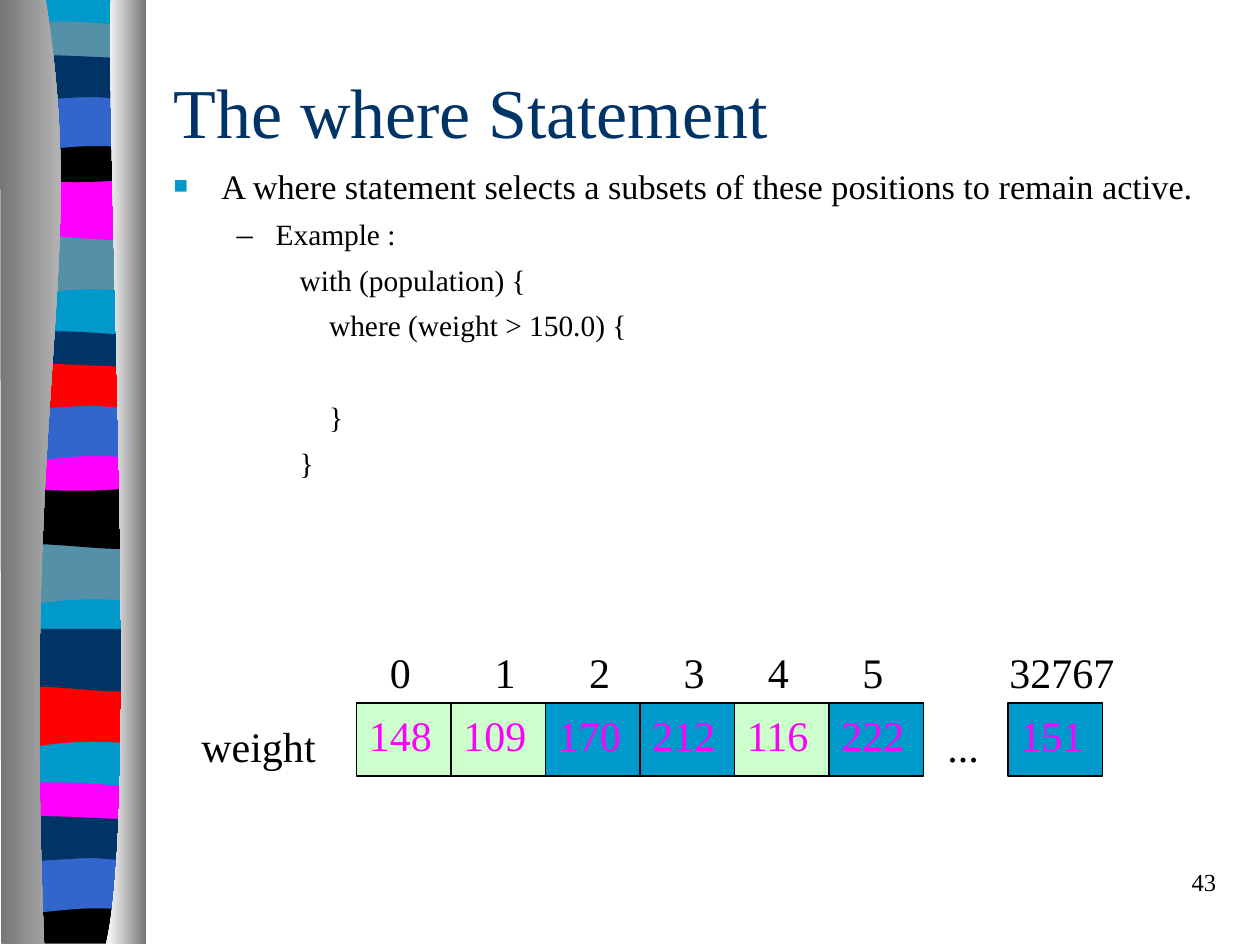
from lxml import etree
from pptx import Presentation
from pptx.dml.color import RGBColor
from pptx.enum.shapes import MSO_SHAPE
from pptx.enum.text import MSO_ANCHOR, PP_ALIGN
from pptx.oxml.ns import qn
from pptx.util import Inches, Pt

RECTANGLE = MSO_SHAPE.RECTANGLE
TOP, MIDDLE = MSO_ANCHOR.TOP, MSO_ANCHOR.MIDDLE
LEFT, RIGHT = PP_ALIGN.LEFT, PP_ALIGN.RIGHT

FONT = "Times New Roman"
BLACK = RGBColor(0x00, 0x00, 0x00)
WHITE = RGBColor(0xFF, 0xFF, 0xFF)
GRAY = RGBColor(0x76, 0x76, 0x76)
LIGHT_GRAY = RGBColor(0xD2, 0xD2, 0xD2)
NAVY = RGBColor(0x00, 0x33, 0x66)
CYAN = RGBColor(0x00, 0x99, 0xCC)
BLUE = RGBColor(0x33, 0x66, 0xCC)
TEAL = RGBColor(0x54, 0x90, 0xA8)
RED = RGBColor(0xFF, 0x00, 0x00)
MAGENTA = RGBColor(0xFF, 0x00, 0xFF)
LIGHT_GREEN = RGBColor(0xCC, 0xFF, 0xCC)

RIBBON = [(1.14, -0.01), (1.14, 7.47), (0.06, 7.47), (0.06, -0.01)]
BAND_OUTLINES = {
    "wave": [(1.14, 0), (1.14, 0.47), (0.39, 0.39, 0.24, 0.55, 0.06, 0.47), (0.06, 0)],
    "sway": [(1.14, 0), (1.14, 0.47), (0.96, 0.55, 0.39, 0.42, 0.06, 0.47), (0.06, 0)],
    "slope": [(1.14, 0.05), (1.14, 0.29), (0.96, 0.33, 0.24, 0.33, 0.06, 0.29),
              (0.06, 0.05), (0.12, 0, 0.29, 0.01, 0.47, 0.01),
              (0.65, 0.01, 1, 0.04, 1.14, 0.05)],
    "bowl": [(1.14, 0), (1.14, 0.32), (0.96, 0.38, 0.24, 0.38, 0.06, 0.32),
             (0.06, 0), (0.72, 0.05, 0.91, 0, 1.14, 0)],
    "base": [(1.14, 0), (1.14, 0.37), (0.06, 0.37), (0.06, 0),
             (0.72, 0.05, 0.91, 0, 1.14, 0)],
    "arch": [(1.14, 0), (1.14, 0.47), (0.97, 0.42, 0.9, 0.42, 0.72, 0.42),
             (0.54, 0.42, 0.22, 0.47, 0.06, 0.47), (0.06, 0)],
    "crest": [(1.14, 0.05), (1.14, 0.36), (1.07, 0.41, 0.9, 0.36, 0.72, 0.36),
              (0.54, 0.36, 0.17, 0.41, 0.06, 0.36), (0.06, 0.05),
              (0.21, 0, 0.79, 0.05, 0.97, 0.05), (1.15, 0.05, 1.1, 0.05, 1.14, 0.05)],
}
BANDS = [
    ("wave", 1.85, TEAL), ("sway", 1.41, MAGENTA), ("slope", 0.16, TEAL),
    ("bowl", 1.08, BLACK), ("arch", 0.74, BLUE), ("crest", 0.41, NAVY),
    ("wave", 4.31, TEAL), ("sway", 3.86, BLACK), ("slope", 2.62, NAVY),
    ("bowl", 3.53, MAGENTA), ("arch", 3.2, BLUE), ("crest", 2.86, RED),
    ("wave", 5.44, RED), ("sway", 4.99, NAVY), ("slope", 6.2, MAGENTA),
    ("base", 7.12, BLACK), ("arch", 6.79, BLUE), ("crest", 6.45, NAVY),
]
LEFT_COLUMN = [(0.36, -0.01), (0.71, 2.16, 0.17, 2.96, 0.35, 7.49), (0.01, 7.49), (0, -0.01)]
RIGHT_COLUMN = [(0.88, -0.01), (0.84, 1.25, 1.11, 6.46, 0.84, 7.49), (1.16, 7.49), (1.16, 0)]

SQUARE_BULLET = ("■", CYAN, 70)
DASH_BULLET = ("–", BLACK, 110)
BODY = [
    ("A where statement selects a subsets of these positions to remain active.",
     19.6, 0.38, -0.38, 0, SQUARE_BULLET),
    ("Example :", 16.8, 0.81, -0.31, 6, DASH_BULLET),
    ("with (population) {", 16.8, 1.25, -0.25, 5.7, None),
    ("    where (weight > 150.0) {", 16.8, 1.25, -0.25, 5.7, None),
    ("    }", 16.8, 1.25, -0.25, 32.5, None),
    ("}", 16.8, 1.25, -0.25, 5.7, None),
]
INDEX_STOPS = {"0": 0.41, "1": 1.24, "2": 1.99, "3": 2.74, "4": 3.41, "5": 4.16, "32767": 5.66}
WEIGHTS = [148, 109, 170, 212, 116, 222]
LAST_WEIGHT = 151
THRESHOLD = 150
CELL_LEFT, CELL_TOP, CELL_WIDTH, CELL_HEIGHT = 2.83, 5.58, 0.75, 0.58


def add_outline(shapes, outline, top=0):
    """Add a closed freeform whose six-number segments are cubic curves."""
    points = [(Inches(segment[i]), Inches(segment[i + 1] + top))
              for segment in outline for i in range(0, len(segment), 2)]
    builder = shapes.build_freeform(*points[0], scale=1.0)
    builder.add_line_segments(points[1:], close=True)
    shape = builder.convert_to_shape()
    lines = iter(list(shape._element.iter(qn("a:lnTo"))))
    for segment in outline[1:]:
        line = next(lines)
        if len(segment) == 6:
            line.addprevious(curve := etree.Element(qn("a:cubicBezTo")))
            for control in (line, next(lines), next(lines)):
                curve.append(control[0])
                control.getparent().remove(control)
    shape.shadow.inherit = False
    shape.line.fill.background()
    return shape


def add_band(shapes, outline, top, color):
    """Add one plain coloured band."""
    fill = add_outline(shapes, outline, top).fill
    fill.solid()
    fill.fore_color.rgb = color


def add_column(shapes, outline, start, end):
    """Add a column shaded from left to right."""
    fill = add_outline(shapes, outline).fill
    fill.gradient()
    fill.gradient_angle = 0
    for stop, color in zip(fill.gradient_stops, (start, end)):
        stop.color.rgb = color


def add_ribbon(slide):
    """Add the grouped decoration at the left edge."""
    shapes = slide.shapes.add_group_shape().shapes
    add_band(shapes, RIBBON, 0, CYAN)
    for kind, top, color in BANDS:
        add_band(shapes, BAND_OUTLINES[kind], top, color)
    add_column(shapes, LEFT_COLUMN, GRAY, LIGHT_GRAY)
    add_column(shapes, RIGHT_COLUMN, WHITE, GRAY)


def write(paragraph, text, size, color, alignment=LEFT):
    """Set a paragraph's text and format its runs."""
    paragraph.text = text
    paragraph.alignment = alignment
    for run in paragraph.runs:
        run.font.name = FONT
        run.font.size = Pt(size)
        run.font.color.rgb = color


def add_text(slide, left, top, width, height):
    """Add a wrapping text box and return its text frame."""
    box = slide.shapes.add_textbox(Inches(left), Inches(top), Inches(width), Inches(height))
    box.text_frame.word_wrap = True
    return box.text_frame


def add_label(slide, text, left, top, width, size=24, alignment=LEFT):
    """Add a one-line label and return its paragraph."""
    paragraph = add_text(slide, left, top, width, 0.5).paragraphs[0]
    write(paragraph, text, size, BLACK, alignment)
    return paragraph


def set_bullet(properties, character, color, percent):
    """Give paragraph properties a coloured bullet."""
    bullet_color = etree.SubElement(properties, qn("a:buClr"))
    etree.SubElement(bullet_color, qn("a:srgbClr"), val=str(color))
    etree.SubElement(properties, qn("a:buSzPct"), val=str(percent * 1000))
    etree.SubElement(properties, qn("a:buFont"), typeface=FONT)
    etree.SubElement(properties, qn("a:buChar"), char=character)


def add_body(slide):
    """Add the bulleted statement and its code example."""
    frame = add_text(slide, 1.28, 1.26, 8.5, 2.58)
    for number, (text, size, margin, indent, before, bullet) in enumerate(BODY):
        paragraph = frame.add_paragraph() if number else frame.paragraphs[0]
        write(paragraph, text, size, BLACK)
        if before:
            paragraph.space_before = Pt(before)
        properties = paragraph._p.get_or_add_pPr()
        properties.set("marL", str(Inches(margin)))
        properties.set("indent", str(Inches(indent)))
        if bullet:
            set_bullet(properties, *bullet)


def add_indices(slide):
    """Add the row of position numbers on centred tab stops."""
    text = "".join("\t" + index for index in INDEX_STOPS)
    paragraph = add_label(slide, text, 2.67, 5.08, 6.5)
    tab_list = etree.SubElement(paragraph._p.get_or_add_pPr(), qn("a:tabLst"))
    for position in INDEX_STOPS.values():
        etree.SubElement(tab_list, qn("a:tab"), pos=str(Inches(position)), algn="ctr")


def add_cell(slide, weight, left):
    """Add one array cell, coloured by whether it stays active."""
    cell = slide.shapes.add_shape(RECTANGLE, Inches(left), Inches(CELL_TOP),
                                  Inches(CELL_WIDTH), Inches(CELL_HEIGHT))
    cell.shadow.inherit = False
    cell.fill.solid()
    cell.fill.fore_color.rgb = CYAN if weight > THRESHOLD else LIGHT_GREEN
    cell.line.color.rgb = BLACK
    cell.line.width = Pt(0.75)
    cell.text_frame.vertical_anchor = TOP
    write(cell.text_frame.paragraphs[0], str(weight), 24, MAGENTA)


def add_title(slide):
    """Place and format the title."""
    title = slide.shapes.title
    title.left, title.top, title.width, title.height = map(Inches, (1.28, 0.5, 8.5, 0.75))
    title.text_frame.vertical_anchor = MIDDLE
    write(title.text_frame.paragraphs[0], "The where Statement", 40, NAVY)


def main():
    """Build the slide and save it."""
    presentation = Presentation()
    presentation.slide_width, presentation.slide_height = Inches(10), Inches(7.5)
    slide = presentation.slides.add_slide(presentation.slide_layouts[5])
    add_ribbon(slide)
    add_title(slide)
    add_body(slide)
    for column, weight in enumerate(WEIGHTS):
        add_cell(slide, weight, CELL_LEFT + column * CELL_WIDTH)
    add_cell(slide, LAST_WEIGHT, 8)
    add_indices(slide)
    add_label(slide, "weight", 1.5, 5.67, 1.25)
    add_label(slide, "...", 7.42, 5.67, 0.58)
    add_label(slide, "43", 7.67, 6.83, 2.08, 14, RIGHT)
    presentation.save("out.pptx")


if __name__ == "__main__":
    main()
